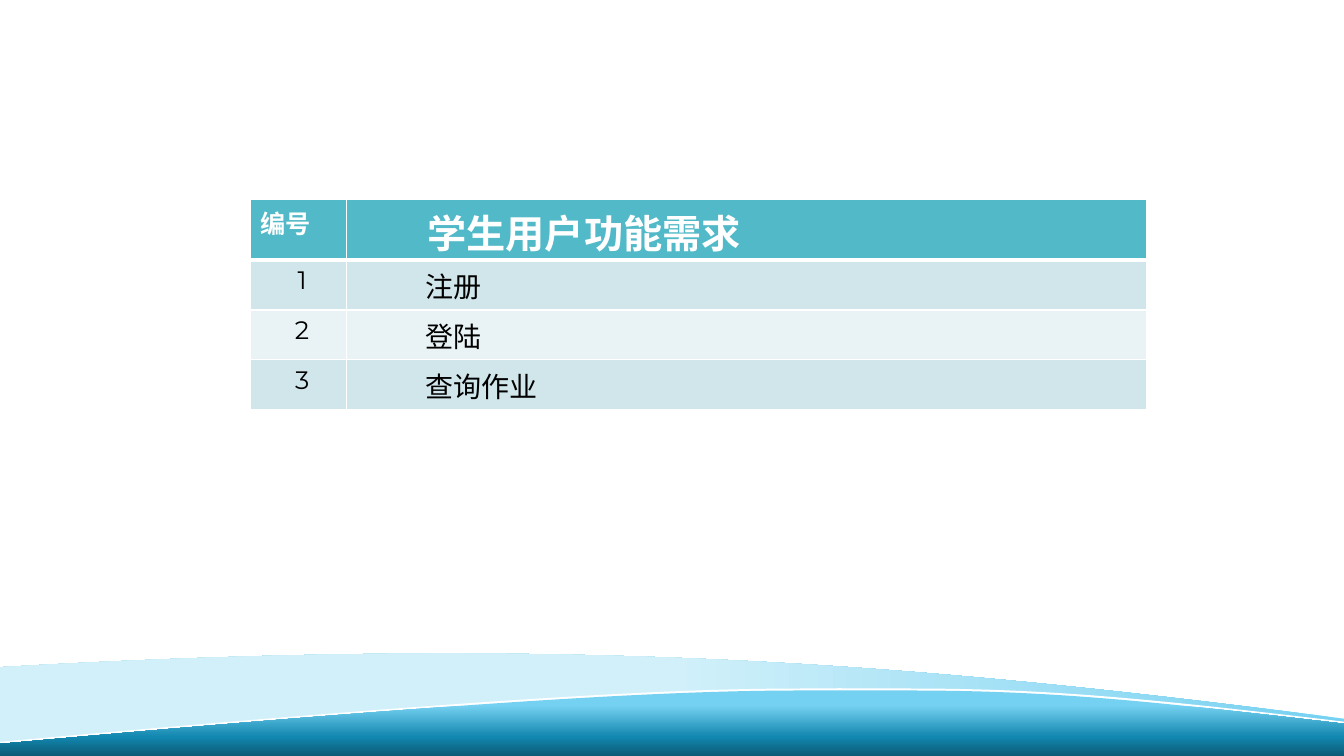
from copy import deepcopy
from lxml import etree
from pptx import Presentation
from pptx.dml.color import RGBColor
from pptx.enum.text import PP_ALIGN
from pptx.oxml.ns import qn
from pptx.util import Pt

CENTER, LEFT = PP_ALIGN.CENTER, PP_ALIGN.LEFT
FONT = "Montserrat"
WIDE, HIGH = 960, 540

HEAD = ("编号", "学生用户功能需求")
NEEDS = ["注册", "登陆", "查询作业"]
COLS = [68.4, 571.7]
ROWS = [43.2] + [35.6] * len(NEEDS)
TOP, SIDE = 142.6, 178.9

# Each wave: top and bottom, start point, curves (six numbers) and
# lines (two), fill stops, clockwise turn of the fill.
WAVES = [
    (466.6, 533.5, (0, 476.6),
     [(426.2, 452.2, 671.8, 476.6, WIDE, 513.4),
      (WIDE, 529.9, WIDE, 510.5, WIDE, 527.8),
      (627.8, 461.5, 347.8, 517, 0, 533.5),
      (0, 476.6)],
     [(0, "75D1F1"), (50, "D1F0FA"), (100, "D1F0FA")], 180),
    (491.8, 537.1, (574.6, 491.8),
     [(601.2, 491.4, 622.8, 491.8, 647.3, 491.8),
      (745.9, 491.8, 814.3, 498.2, WIDE, 515.5),
      (WIDE, 522.7),
      (814.3, 505.4, 745.9, 499, 647.3, 499),
      (622.8, 499.4, 601.2, 499, 574.6, 499),
      (495.4, 499, 373.7, 504, 0, 537.1),
      (0, 529.9),
      (373.7, 496.1, 495.4, 491.8, 574.6, 491.8)],
     [(0, "FFFFFF")], 0),
    (493.2, HIGH, (574.6, 493.2),
     [(601.2, 493.2, 622.8, 493.2, 647.3, 493.2),
      (745.9, 493.2, 814.3, 499.7, WIDE, 517),
      (WIDE, HIGH),
      (0, HIGH),
      (0, 531.4),
      (373.7, 497.5, 495.4, 493.2, 574.6, 493.2)],
     [(23, "75D1F1"), (71, "1287AF"), (100, "0C5A75")], 90),
]


def tint(code):
    return RGBColor.from_string(code)


def paint(fill, stops, turn):
    """Fill with one colour, or with a gradient turned clockwise."""
    if len(stops) == 1:
        fill.solid()
        fill.fore_color.rgb = tint(stops[0][1])
        return
    fill.gradient()
    fill.gradient_angle = (360 - turn) % 360
    first = fill.gradient_stops[0]._gs
    first.getparent().append(deepcopy(first))
    for stop, (spot, code) in zip(fill.gradient_stops, stops):
        stop.position = spot / 100
        stop.color.rgb = tint(code)


def bend(shape, top, start, parts):
    """Redraw the outline of a shape with true curves."""
    trail = next(shape._element.iter(qn("a:path")))
    for step in list(trail):
        trail.remove(step)
    for i, part in enumerate([start, *parts]):
        tag = "moveTo" if i == 0 else "lnTo"
        if len(part) == 6:
            tag = "cubicBezTo"
        step = etree.SubElement(trail, qn("a:" + tag))
        for x, y in zip(part[::2], part[1::2]):
            etree.SubElement(step, qn("a:pt"), x=str(Pt(x)),
                             y=str(Pt(y - top)))
    etree.SubElement(trail, qn("a:close"))


def wave(slide, top, low, start, parts, stops, turn):
    pen = slide.shapes.build_freeform(0, Pt(top))
    pen.add_line_segments([(Pt(WIDE), Pt(top)), (Pt(WIDE), Pt(low))])
    shape = pen.convert_to_shape()
    bend(shape, top, start, parts)
    shape.shadow.inherit = False
    shape.line.fill.background()
    paint(shape.fill, stops, turn)


def edge(cell, high, low):
    """White borders, the upper and lower ones of the given widths."""
    props = cell._tc.get_or_add_tcPr()
    wides = {"lnL": 1, "lnR": 1, "lnT": high, "lnB": low}
    for spot, (tag, wide) in enumerate(wides.items()):
        line = etree.Element(qn("a:" + tag), w=str(Pt(wide)))
        solid = etree.SubElement(line, qn("a:solidFill"))
        etree.SubElement(solid, qn("a:srgbClr"), val="FFFFFF")
        props.insert(spot, line)


def write(cell, text, size, ink, back, bold, align, inset):
    cell.fill.solid()
    cell.fill.fore_color.rgb = tint(back)
    cell.margin_left = Pt(inset)
    cell.margin_bottom = 0
    cell.text_frame.text = text
    para = cell.text_frame.paragraphs[0]
    para.alignment = align
    font = para.runs[0].font
    font.name, font.size, font.bold = FONT, Pt(size), bold
    font.color.rgb = tint(ink)


def grid(slide):
    frame = slide.shapes.add_table(len(ROWS), len(COLS), Pt(SIDE), Pt(TOP),
                                   Pt(sum(COLS)), Pt(sum(ROWS)))
    table = frame.table
    for col, wide in zip(table.columns, COLS):
        col.width = Pt(wide)
    for row, high in zip(table.rows, ROWS):
        row.height = Pt(high)
    for i, text in enumerate(HEAD):
        cell = table.cell(0, i)
        write(cell, text, (18, 28)[i], "FFFFFF", "51B9C7", True, LEFT,
              (7.2, 58.1)[i])
        edge(cell, 1, 3)
    table.cell(0, 1).margin_top = Pt(2.7)
    for n, need in enumerate(NEEDS, 1):
        back = "D0E6EB" if n % 2 else "E9F3F5"
        num, name = table.cell(n, 0), table.cell(n, 1)
        write(num, str(n), 18, "000000", back, False, CENTER, 12.6)
        write(name, need, 20, "000000", back, False, LEFT, 56.5)
        for cell in (num, name):
            edge(cell, 3 if n == 1 else 1, 1)


def main():
    deck = Presentation()
    deck.slide_width, deck.slide_height = Pt(WIDE), Pt(HIGH)
    slide = deck.slides.add_slide(deck.slide_layouts[6])
    for item in WAVES:
        wave(slide, *item)
    grid(slide)
    deck.save("out.pptx")


if __name__ == "__main__":
    main()
